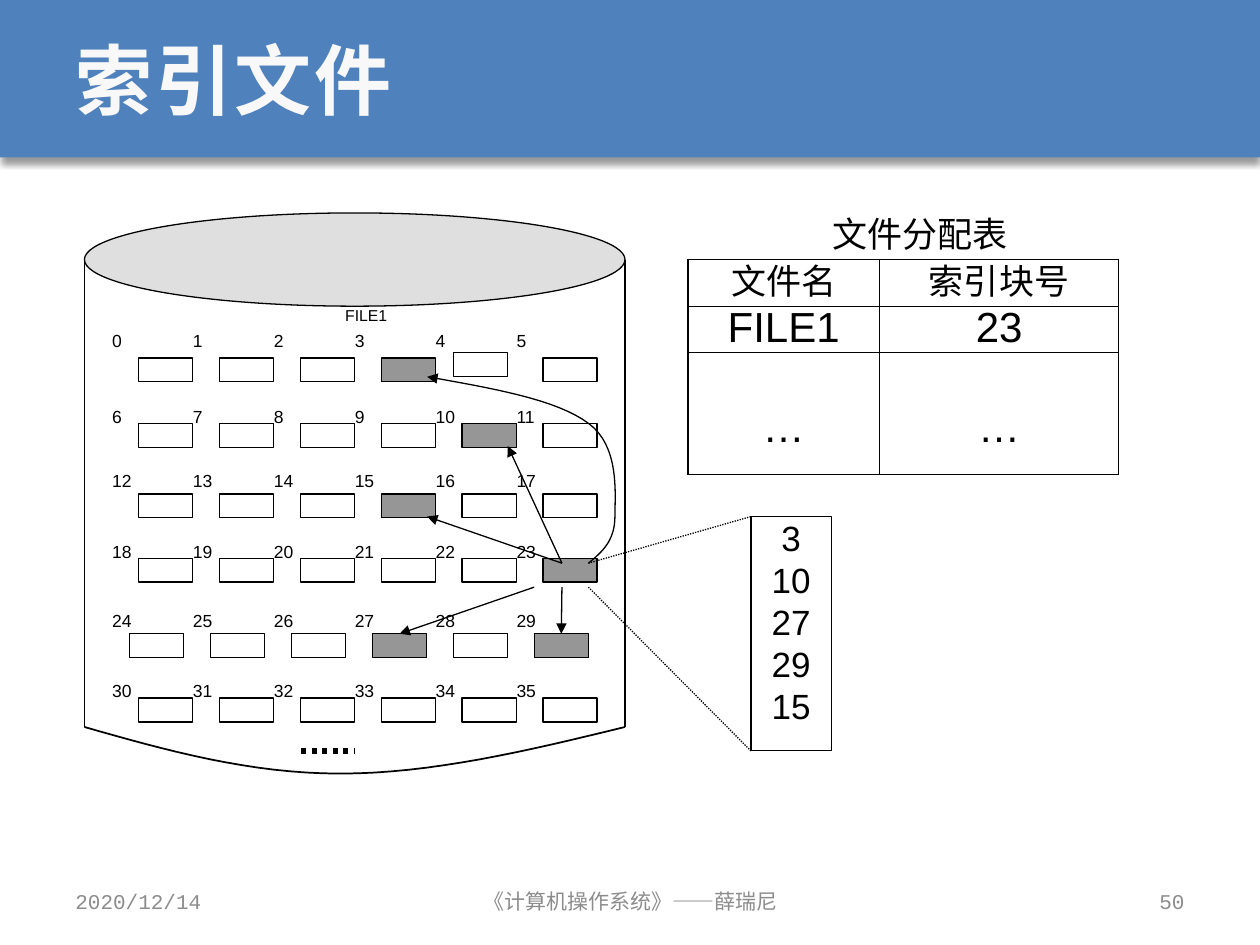
from lxml.etree import SubElement
from pptx import Presentation
from pptx.dml.color import RGBColor
from pptx.enum.dml import MSO_LINE_DASH_STYLE as Dash
from pptx.enum.shapes import MSO_CONNECTOR as Connector, MSO_SHAPE as Preset
from pptx.enum.text import MSO_ANCHOR as Anchor, PP_ALIGN as Align
from pptx.oxml.ns import qn
from pptx.util import Inches, Pt

BLACK = "000000"
BLUE = "4F81BD"
GRAY = "969696"
LIGHT_GRAY = "C0C0C0"
FOOTER_GRAY = "8C8C8C"
TITLE_WHITE = "F8F8F8"


def color(value):
    return RGBColor.from_string(value)


def add_child(parent, tag, **attributes):
    return SubElement(parent, qn(tag), attributes)


def write_text(frame, text, size=10, font="Arial", fill=BLACK, bold=False,
               align=Align.LEFT, character_spacing=None, line_height=None):
    for index, line in enumerate(text.split("\n")):
        paragraph = frame.add_paragraph() if index else frame.paragraphs[0]
        paragraph.alignment = align
        if line_height:
            paragraph.line_spacing = Pt(line_height)
        run = paragraph.add_run()
        run.text = line
        run.font.size = Pt(size)
        run.font.name = font
        run.font.bold = bold
        run.font.color.rgb = color(fill)
        if character_spacing:
            run.font._element.set("spc", str(int(character_spacing * 100)))


def bezier(start, *curves, steps=16):
    points = [start]
    for first, second, end in curves:
        origin = points[-1]
        for step in range(1, steps + 1):
            t = step / steps
            weights = ((1 - t) ** 3, 3 * t * (1 - t) ** 2, 3 * t ** 2 * (1 - t), t ** 3)
            controls = (origin, first, second, end)
            points.append(tuple(sum(w * p[axis] for w, p in zip(weights, controls))
                                for axis in (0, 1)))
    return points


class SlideBuilder:
    def __init__(self, slide, line_color=BLACK, line_width=0.75):
        self.slide = slide
        self.shapes = slide.shapes
        self.line_color = line_color
        self.line_width = line_width

    def set_frame(self, frame, inset, anchor):
        frame.word_wrap = True
        frame.vertical_anchor = anchor
        frame.margin_left = frame.margin_right = Inches(inset)
        frame.margin_top = frame.margin_bottom = Inches(inset / 2)

    def title(self, text, left, top, width, height):
        title = self.shapes.title
        title.left, title.top = Inches(left), Inches(top)
        title.width, title.height = Inches(width), Inches(height)
        self.set_frame(title.text_frame, 0.1, Anchor.MIDDLE)
        write_text(title.text_frame, text, size=44, font="Courier New",
                   fill=TITLE_WHITE, bold=True, character_spacing=1.5)

    def header_bar(self, width, height):
        bar = self.shape(Preset.RECTANGLE, 0, 0, width, height, fill=BLUE)
        bar.line.fill.background()
        effects = bar.element.spPr.find(qn("a:effectLst"))
        shadow = add_child(effects, "a:outerShdw", blurRad=str(Pt(4)), dist=str(Pt(3)),
                           dir="5400000", rotWithShape="0")
        shade = add_child(shadow, "a:srgbClr", val=BLACK)
        add_child(shade, "a:alpha", val="40000")
        self.shapes.title.element.addprevious(bar.element)

    def text(self, text, left, top, width, height, inset=0, anchor=Anchor.TOP, **style):
        box = self.shapes.add_textbox(Inches(left), Inches(top), Inches(width), Inches(height))
        self.set_frame(box.text_frame, inset, anchor)
        write_text(box.text_frame, text, **style)

    def outline(self, line, width=None):
        line.color.rgb = color(self.line_color)
        line.width = Pt(width or self.line_width)

    def shape(self, preset, left, top, width, height, fill=None, opacity=None):
        shape = self.shapes.add_shape(preset, Inches(left), Inches(top),
                                      Inches(width), Inches(height))
        self.outline(shape.line)
        shape.shadow.inherit = False
        if fill:
            shape.fill.solid()
            shape.fill.fore_color.rgb = color(fill)
        else:
            shape.fill.background()
        if opacity:
            tint = shape.element.spPr.find(qn("a:solidFill")).find(qn("a:srgbClr"))
            add_child(tint, "a:alpha", val=str(opacity * 1000))
        return shape

    def list_box(self, text, left, top, width, height, **style):
        box = self.shape(Preset.RECTANGLE, left, top, width, height)
        self.set_frame(box.text_frame, 0, Anchor.TOP)
        write_text(box.text_frame, text, **style)

    def add_arrowhead(self, shape):
        add_child(shape.element.spPr.find(qn("a:ln")), "a:tailEnd", type="triangle")

    def line(self, start, end, width=None, dotted=False, arrow=False, target=None):
        connector = self.shapes.add_connector(
            Connector.STRAIGHT, *(Inches(value) for value in (*start, *end)))
        self.outline(connector.line, width)
        if dotted:
            connector.line.dash_style = Dash.ROUND_DOT
        if arrow:
            self.add_arrowhead(connector)
        add_child(connector.element.spPr, "a:effectLst")
        if target is not None:
            connector.end_connect(target, 0)

    def curve(self, points, width=None, arrow=False):
        start, *rest = [(Inches(x), Inches(y)) for x, y in points]
        builder = self.shapes.build_freeform(*start)
        builder.add_line_segments(rest, close=False)
        shape = builder.convert_to_shape()
        shape.fill.background()
        shape.shadow.inherit = False
        self.outline(shape.line, width)
        if arrow:
            self.add_arrowhead(shape)

    def table(self, rows, left, top, widths, heights, sizes, top_margins):
        table = self.shapes.add_table(
            len(rows), len(widths), Inches(left), Inches(top),
            Inches(sum(widths)), Inches(sum(heights))).table
        table.first_row = table.horz_banding = False
        for column, width in zip(table.columns, widths):
            column.width = Inches(width)
        for index, values in enumerate(rows):
            table.rows[index].height = Inches(heights[index])
            for cell, value in zip(table.rows[index].cells, values):
                cell.margin_left = cell.margin_right = cell.margin_bottom = 0
                cell.margin_top = Inches(top_margins[index])
                self.cell_borders(cell)
                cell.fill.background()
                write_text(cell.text_frame, value, size=sizes[index],
                           align=Align.CENTER, line_height=26)

    def cell_borders(self, cell):
        properties = cell._tc.get_or_add_tcPr()
        for side in ("L", "R", "T", "B"):
            border = add_child(properties, f"a:ln{side}", w=str(Pt(self.line_width)))
            add_child(add_child(border, "a:solidFill"), "a:srgbClr", val=self.line_color)


def draw_blocks(builder):
    pitch, label_left = 0.642, 0.89
    rows = [(2.62, 2.84, 1.1), (3.22, 3.36, 1.1), (3.73, 3.92, 1.1),
            (4.29, 4.43, 1.1), (4.84, 5.03, 1.03), (5.4, 5.54, 1.1)]
    used = {3, 10, 15, 23, 27, 29}
    shifted = {4: (3.6, 2.8)}
    blocks = []
    for row, (label_top, block_top, block_left) in enumerate(rows):
        for column in range(6):
            number = row * 6 + column
            offset = column * pitch
            left, top = shifted.get(number, (block_left + offset, block_top))
            blocks.append(builder.shape(Preset.RECTANGLE, left, top, 0.43, 0.19,
                                        fill=GRAY if number in used else None))
            builder.text(str(number), label_left + offset, label_top, 0.43, 0.37)
    return blocks


def draw_disk(builder):
    left, right, top, bottom = 0.67, 4.96, 2.06, 5.77
    builder.curve(bezier((left, bottom), ((1.33, 5.96), (1.99, 6.14), (2.7, 6.14)),
                         ((3.42, 6.14), (4.19, 5.96), (right, bottom))), width=1)
    builder.shape(Preset.OVAL, left, 1.69, right - left, 0.74, fill=LIGHT_GRAY, opacity=50)
    for side in (left, right):
        builder.line((side, top), (side, bottom))
    builder.text("FILE1", 2.74, 2.43, 0.86, 0.37, size=9)
    builder.line((2.39, 5.96), (2.81, 5.96), width=3, dotted=True)


def draw_pointers(builder, blocks):
    builder.line((4.24, 4.66), (3.17, 5.03), arrow=True, target=blocks[27])
    builder.line((4.46, 4.66), (4.46, 5.03), arrow=True, target=blocks[29])
    for end in ((3.39, 4.1), (4.03, 3.54)):
        builder.line((4.46, 4.47), end, arrow=True)
    builder.curve(bezier((4.67, 4.47), ((4.78, 4.38), (4.88, 4.29), (4.88, 4.1)),
                         ((4.88, 3.92), (4.92, 3.54), (4.67, 3.36)),
                         ((4.42, 3.17), (3.9, 3.08), (3.39, 2.99))), arrow=True)
    builder.list_box("3\n10\n27\n29\n15", 5.96, 4.1, 0.64, 1.86,
                     size=20, align=Align.CENTER, line_height=24)
    for start, end in ((4.47, 4.1), (4.66, 5.96)):
        builder.line((4.67, start), (5.96, end), dotted=True)


def main():
    presentation = Presentation()
    presentation.slide_width, presentation.slide_height = Inches(10), Inches(7.5)
    builder = SlideBuilder(presentation.slides.add_slide(presentation.slide_layouts[5]))
    builder.header_bar(10, 1.25)
    builder.title("索引文件", 0.5, 0, 9, 1.25)
    for text, left, width, align in (("2020/12/14", 0.5, 2.33, Align.LEFT),
                                     ("《计算机操作系统》——薛瑞尼", 3.42, 3.17, Align.CENTER),
                                     ("50", 7.17, 2.33, Align.RIGHT)):
        builder.text(text, left, 6.95, width, 0.4, inset=0.1, anchor=Anchor.MIDDLE,
                     size=12, font="Courier New", fill=FOOTER_GRAY, align=align)
    draw_disk(builder)
    blocks = draw_blocks(builder)
    builder.text("文件分配表", 5.46, 1.69, 3.68, 0.37, size=20, align=Align.CENTER)
    builder.table([("文件名", "索引块号"), ("FILE1", "23"), ("…", "…")], 5.46, 2.06,
                  widths=(1.52, 1.9), heights=(0.37, 0.37, 0.97),
                  sizes=(20, 24, 24), top_margins=(0, 0, 0.42))
    draw_pointers(builder, blocks)
    presentation.save("out.pptx")


if __name__ == "__main__":
    main()
